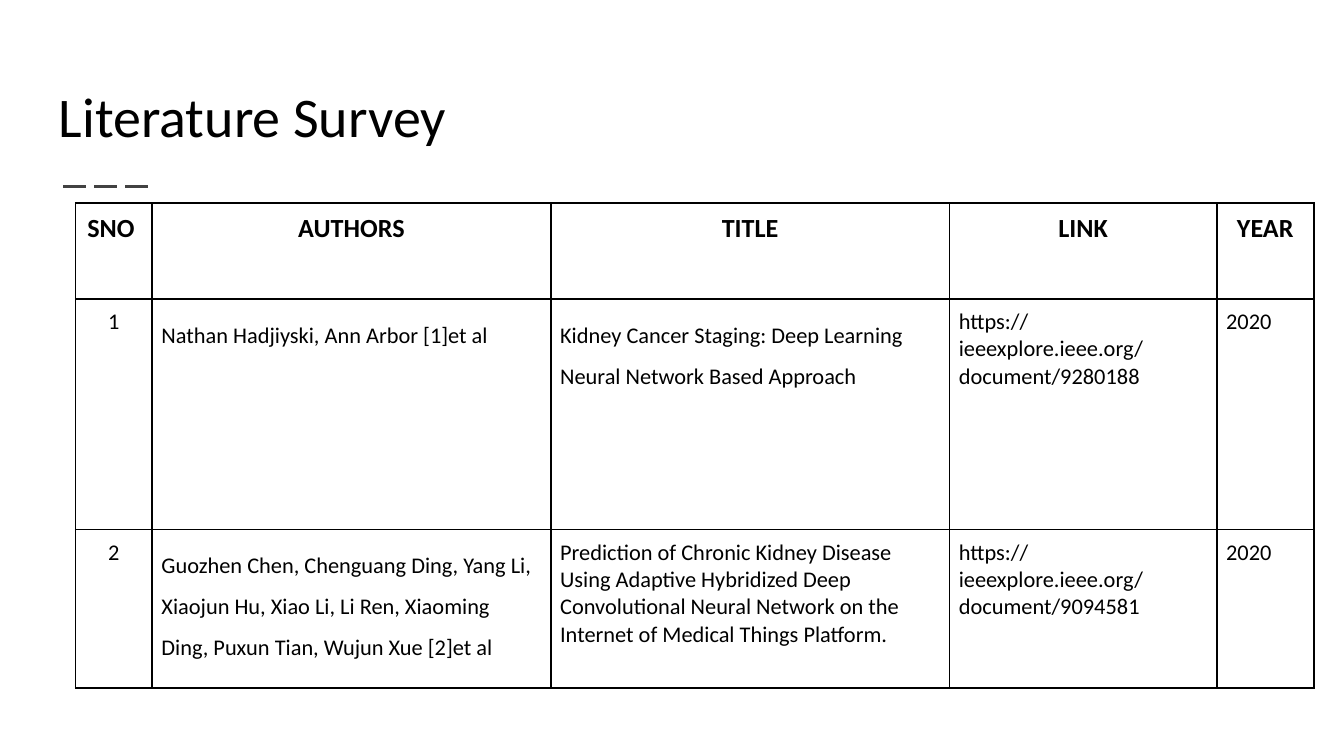
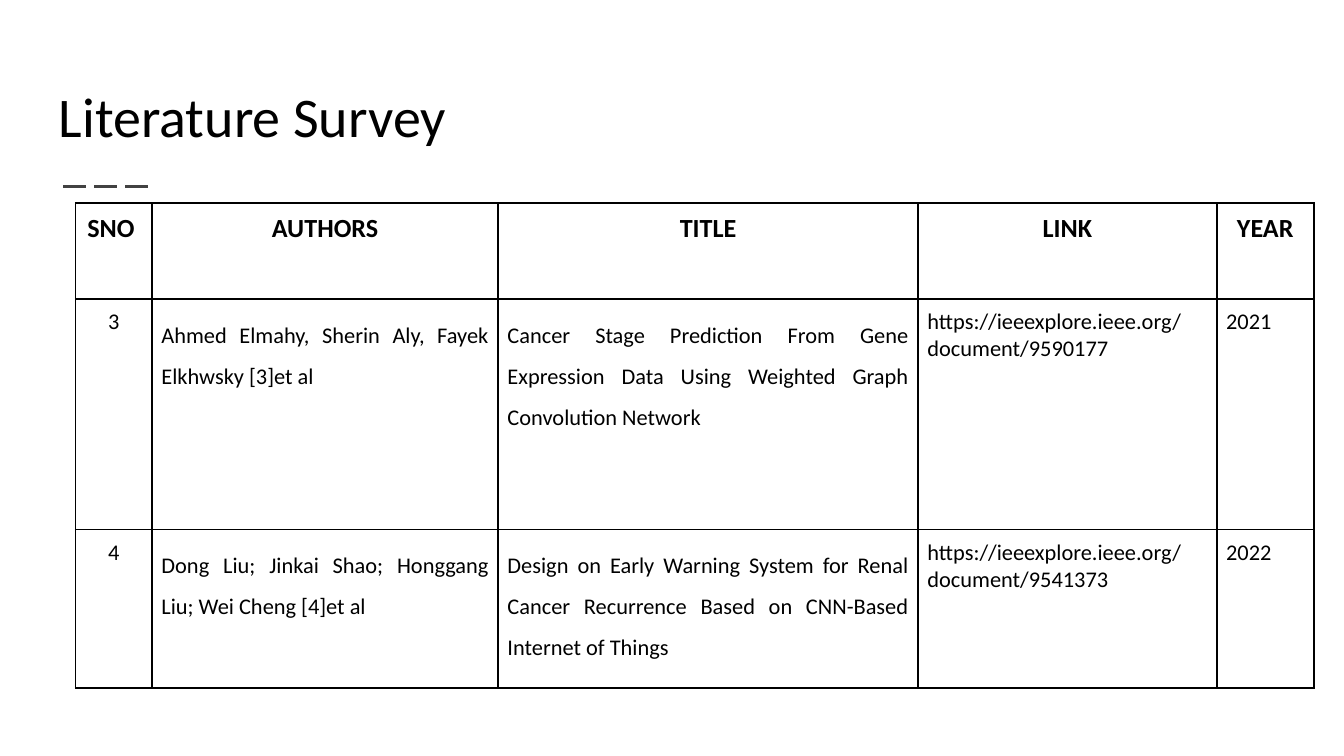
from lxml.etree import SubElement
from pptx import Presentation
from pptx.dml.color import RGBColor
from pptx.enum.dml import MSO_LINE
from pptx.enum.shapes import MSO_CONNECTOR
from pptx.enum.text import MSO_ANCHOR, PP_ALIGN
from pptx.oxml.ns import qn
from pptx.util import Pt

FONT = "Calibri"
BLACK = "000000"
RULE_GREY = "424242"
HEADINGS = ["SNO ", "AUTHORS", "TITLE", "LINK", "YEAR"]
ROW_HEIGHTS = [51.5, 123.5, 85]

CENTRED = {"alignment": PP_ALIGN.CENTER}
PLAIN = {"alignment": PP_ALIGN.LEFT}
OPEN = {"alignment": PP_ALIGN.LEFT, "line_spacing": 1.5, "space_after": Pt(8)}
JUSTIFIED = {**OPEN, "alignment": PP_ALIGN.JUSTIFY}
JUSTIFIED_TIGHT = {"alignment": PP_ALIGN.JUSTIFY, "line_spacing": 1.5}

SURVEYS = [
    {
        "widths": [41, 213.6, 213.6, 143.2, 52],
        "papers": [
            ["1", "Nathan Hadjiyski, Ann Arbor [1]et al",
             "Kidney Cancer Staging: Deep Learning Neural Network Based Approach",
             "https://ieeexplore.ieee.org/document/9280188", "2020"],
            ["2", "Guozhen Chen, Chenguang Ding, Yang Li, Xiaojun Hu, Xiao Li, Li Ren, "
             "Xiaoming Ding, Puxun Tian, Wujun Xue [2]et al",
             "Prediction of Chronic Kidney Disease Using Adaptive Hybridized Deep "
             "Convolutional Neural Network on the Internet of Medical Things Platform.",
             "https://ieeexplore.ieee.org/document/9094581", "2020"],
        ],
        "formats": [[CENTRED, OPEN, OPEN, PLAIN, PLAIN],
                    [CENTRED, OPEN, PLAIN, PLAIN, PLAIN]],
    },
    {
        "widths": [41, 185.4, 225, 160, 52],
        "papers": [
            ["3", "Ahmed Elmahy, Sherin Aly, Fayek Elkhwsky [3]et al",
             "Cancer Stage Prediction From Gene Expression Data Using Weighted Graph "
             "Convolution Network",
             "https://ieeexplore.ieee.org/document/9590177", "2021"],
            ["4", "Dong Liu; Jinkai Shao; Honggang Liu; Wei Cheng [4]et al",
             "Design on Early Warning System for Renal Cancer Recurrence Based on "
             "CNN-Based Internet of Things ",
             "https://ieeexplore.ieee.org/document/9541373", "2022"],
        ],
        "formats": [[CENTRED, JUSTIFIED_TIGHT, JUSTIFIED_TIGHT, PLAIN, PLAIN],
                    [CENTRED, JUSTIFIED, JUSTIFIED, PLAIN, PLAIN]],
    },
]


def colour(value):
    """Turn a hex string into a colour."""
    return RGBColor.from_string(value)


def apply_format(target, values):
    """Set each attribute named in a dict of format values."""
    for name, value in values.items():
        setattr(target, name, value)


def write_text(frame, text, size, bold=False, para_format=PLAIN):
    """Write one formatted paragraph into a text frame."""
    para = frame.paragraphs[0]
    apply_format(para, para_format)
    span = para.add_run()
    span.text = text
    apply_format(span.font, {"name": FONT, "size": Pt(size), "bold": bold})
    span.font.color.rgb = colour(BLACK)


def add_title(page, text):
    """Add the title and the dashed rule below it."""
    box = page.shapes.add_textbox(Pt(24.5), Pt(29.5), Pt(671), Pt(57.5))
    margins = ("margin_left", "margin_right", "margin_top", "margin_bottom")
    apply_format(box.text_frame, {"word_wrap": True, "vertical_anchor": MSO_ANCHOR.BOTTOM,
                                  **dict.fromkeys(margins, Pt(7.2))})
    write_text(box.text_frame, text, 30)
    rule = page.shapes.add_connector(MSO_CONNECTOR.STRAIGHT, Pt(34), Pt(100), Pt(82), Pt(100))
    rule.line.color.rgb = colour(RULE_GREY)
    apply_format(rule.line, {"width": Pt(1.5), "dash_style": MSO_LINE.LONG_DASH})
    SubElement(rule._element.spPr, qn("a:effectLst"))


def style_cell(cell):
    """Give a cell its margins, thin black borders and no fill."""
    margins = ("margin_left", "margin_right", "margin_top", "margin_bottom")
    apply_format(cell, dict.fromkeys(margins, Pt(5)))
    properties = cell._tc.get_or_add_tcPr()
    for side in ("lnL", "lnR", "lnT", "lnB"):
        border = SubElement(properties, qn(f"a:{side}"), w=str(Pt(1)))
        fill = SubElement(border, qn("a:solidFill"))
        SubElement(fill, qn("a:srgbClr"), val=BLACK)
    cell.fill.background()


def add_survey_table(page, widths, papers, formats):
    """Add a table of papers under the shared headings."""
    rows = [HEADINGS] + papers
    row_formats = [[CENTRED] * len(HEADINGS)] + formats
    table = page.shapes.add_table(len(rows), len(widths), Pt(40.5), Pt(108.75),
                                  Pt(sum(widths)), Pt(sum(ROW_HEIGHTS))).table
    apply_format(table, {"first_row": False, "horz_banding": False})
    for column, width in zip(table.columns, widths):
        column.width = Pt(width)
    for row, height in zip(table.rows, ROW_HEIGHTS):
        row.height = Pt(height)
    for row_index, (texts, para_formats) in enumerate(zip(rows, row_formats)):
        heading = row_index == 0
        for column_index, (text, para_format) in enumerate(zip(texts, para_formats)):
            cell = table.cell(row_index, column_index)
            style_cell(cell)
            write_text(cell.text_frame, text, 14 if heading else 12, heading, para_format)


def main():
    """Build the literature survey deck."""
    deck = Presentation()
    apply_format(deck, {"slide_width": Pt(720), "slide_height": Pt(405)})
    for survey in SURVEYS:
        page = deck.slides.add_slide(deck.slide_layouts[6])
        add_title(page, "Literature Survey")
        add_survey_table(page, **survey)
    deck.save("out.pptx")


if __name__ == "__main__":
    main()
